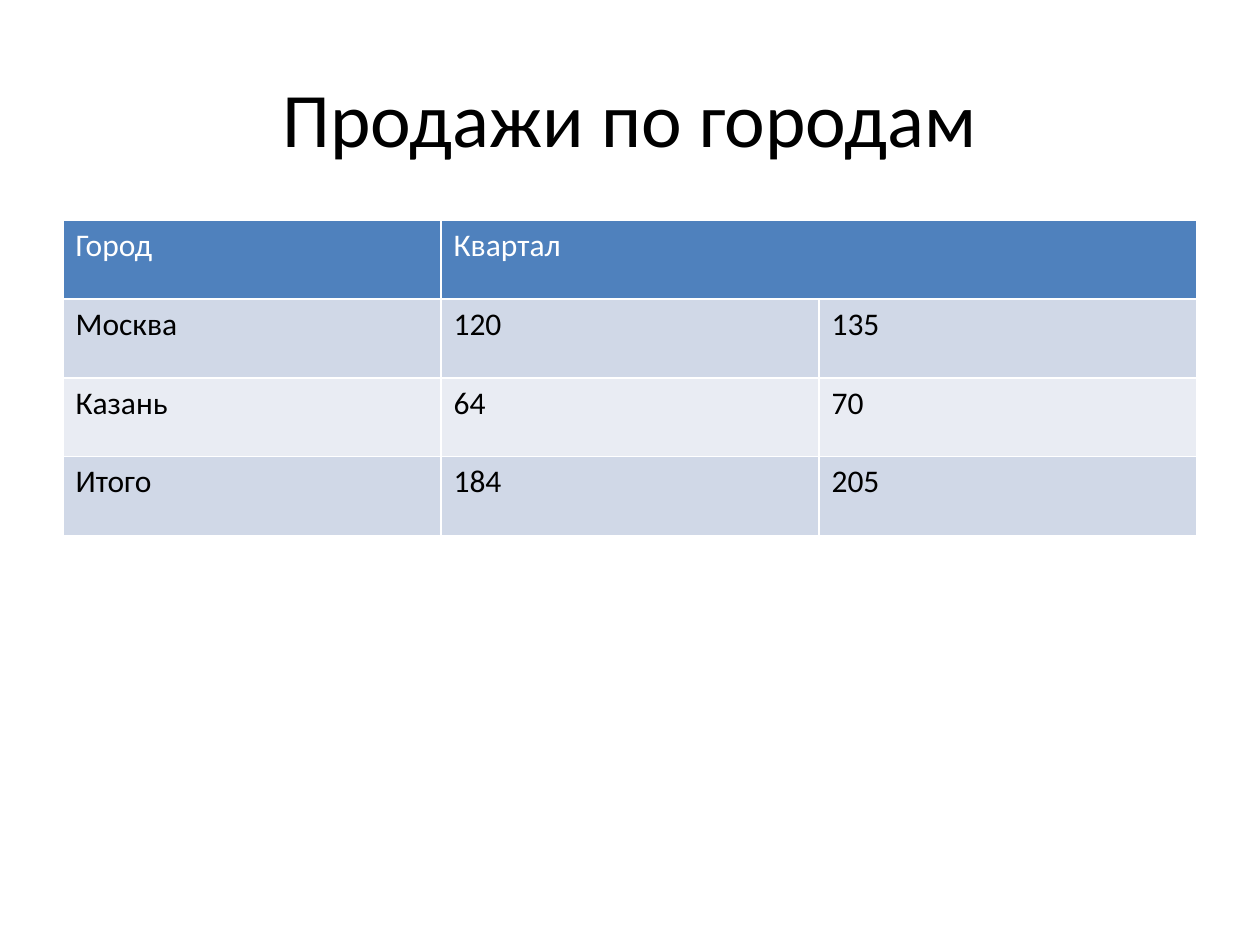
import pptx
import pptx.dml.color
import pptx.enum.text
import pptx.oxml
import pptx.oxml.ns
import pptx.util

Pt = pptx.util.Pt
FONT = "Calibri"
HEADER_FILL = "4F81BD"
BAND_FILLS = ["D0D8E7", "E9ECF3"]
SALES = [
    ["Город", "Квартал", ""],
    ["Москва", "120", "135"],
    ["Казань", "64", "70"],
    ["Итого", "184", "205"],
]


def rgb(value):
    return pptx.dml.color.RGBColor.from_string(value)


def add_borders(cell, color, width):
    """Draw all four borders; call before the cell is filled."""
    properties = cell._tc.get_or_add_tcPr()
    for side in ("lnL", "lnR", "lnT", "lnB"):
        properties.append(pptx.oxml.parse_xml(
            f'<a:{side} {pptx.oxml.ns.nsdecls("a")} w="{Pt(width)}">'
            f'<a:solidFill><a:srgbClr val="{color}"/></a:solidFill></a:{side}>'))


deck = pptx.Presentation()
deck.slide_width, deck.slide_height = Pt(720), Pt(540)
slide = deck.slides.add_slide(deck.slide_layouts[5])

title = slide.shapes.title
title.left, title.top, title.width, title.height = Pt(36), Pt(21.6), Pt(648), Pt(90)
title.text_frame.text = "Продажи по городам"
title.text_frame.vertical_anchor = pptx.enum.text.MSO_ANCHOR.MIDDLE
heading = title.text_frame.paragraphs[0]
heading.alignment = pptx.enum.text.PP_ALIGN.CENTER
heading.runs[0].font.name = FONT
heading.runs[0].font.size = Pt(44)
heading.runs[0].font.color.rgb = rgb("000000")

sales_table = slide.shapes.add_table(
    len(SALES), len(SALES[0]), Pt(36), Pt(126), Pt(648), Pt(180)).table
sales_table.cell(0, 1).merge(sales_table.cell(0, 2))

for row, values in enumerate(SALES):
    fill = HEADER_FILL if row == 0 else BAND_FILLS[(row - 1) % 2]
    for column, value in enumerate(values):
        cell = sales_table.cell(row, column)
        add_borders(cell, "FFFFFF", 0.96)
        cell.fill.solid()
        cell.fill.fore_color.rgb = rgb(fill)
        cell.text_frame.text = value
        for run in cell.text_frame.paragraphs[0].runs:
            run.font.name = FONT
            run.font.size = Pt(18)
            run.font.bold = False
            run.font.color.rgb = rgb("FFFFFF" if row == 0 else "000000")

deck.save("out.pptx")
